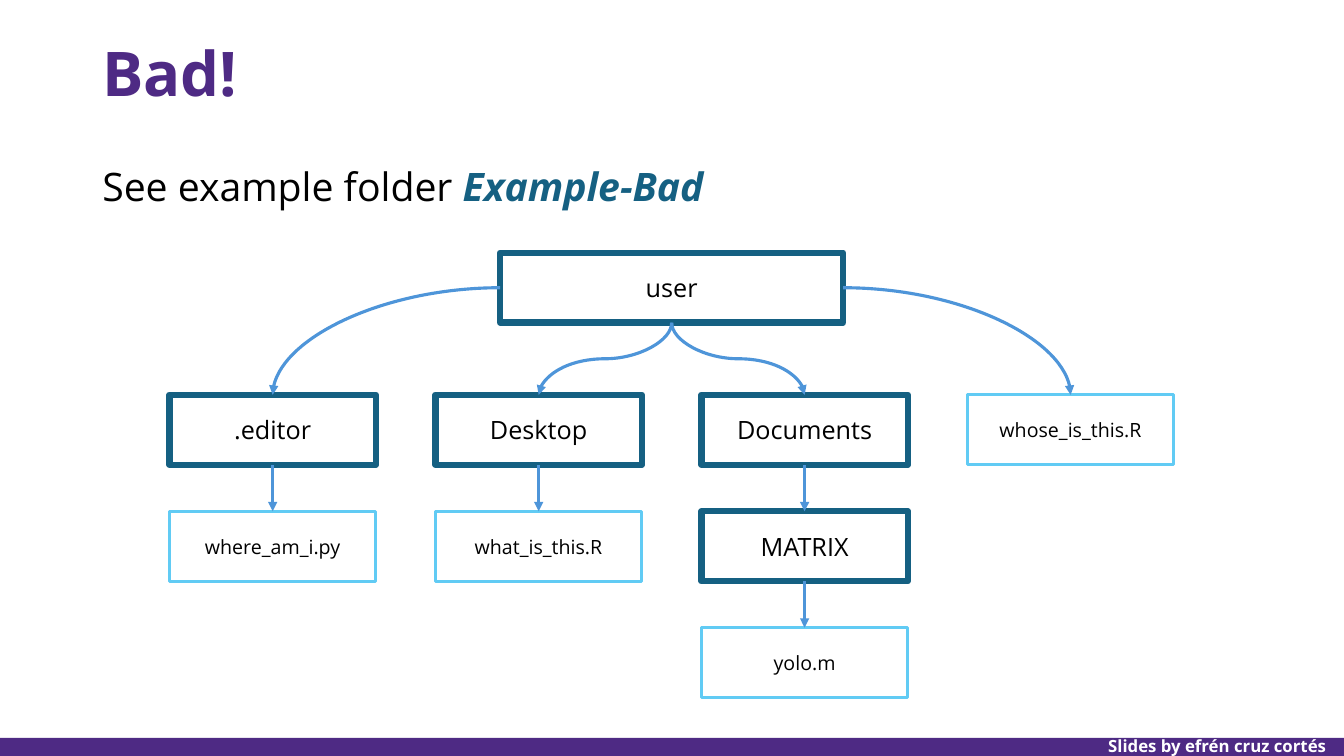
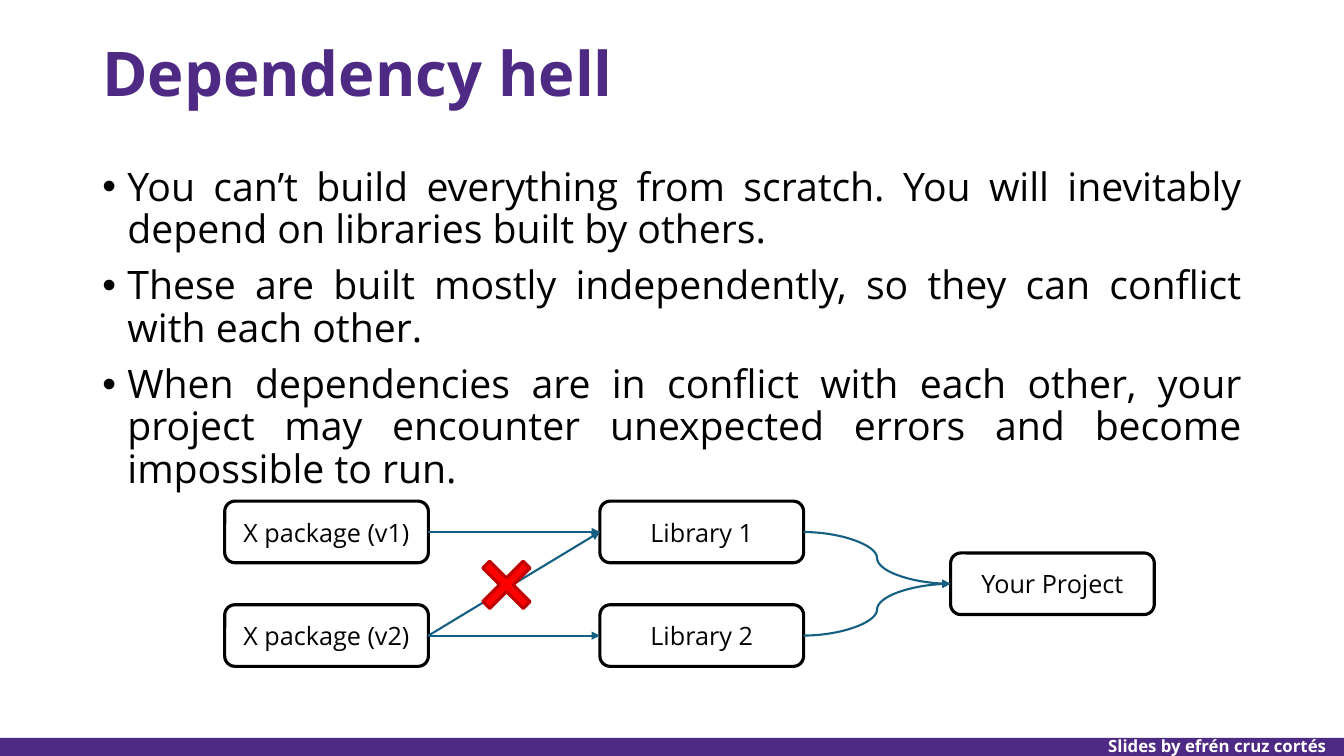
"""Build two slides on messy folders and conflicting dependencies."""
from lxml import etree
from pptx import Presentation, util as u
from pptx.dml import color
from pptx.enum import shapes, text
from pptx.oxml import ns

FONT = "Open Sans"
PURPLE, TEAL, BLUE, SKY = "4E2A84", "156082", "4E95D9", "61CBF4"
BLACK, WHITE, RED, DARK_RED = "000000", "FFFFFF", "FF0000", "C00000"
TOP, LEFT, BOTTOM, RIGHT = range(4)
ALIGN, ANCHOR = text.PP_ALIGN, text.MSO_ANCHOR
FOOTER = "Slides by efrén cruz cortés"

FOLDER_TITLE = "Bad!"
FOLDER_BODY = [[("See example folder ", {}),
                ("Example-Bad", {"color": TEAL, "bold": True, "italic": True})]]
FOLDER_STYLE = {"line": TEAL, "width": 4.5, "size": 18}
FILE_STYLE = {"line": SKY, "width": 2.25, "size": 14}
ROOT = "user"
COLUMNS = [
    [(".editor", FOLDER_STYLE), ("where_am_i.py", FILE_STYLE)],
    [("Desktop", FOLDER_STYLE), ("what_is_this.R", FILE_STYLE)],
    [("Documents", FOLDER_STYLE), ("MATRIX", FOLDER_STYLE), ("yolo.m", FILE_STYLE)],
    [("whose_is_this.R", FILE_STYLE)],
]
ROOT_EXITS = [LEFT, BOTTOM, BOTTOM, RIGHT]

DEPENDENCY_TITLE = "Dependency hell"
DEPENDENCY_BODY = [[(point, {})] for point in (
    "You can’t build everything from scratch. You will inevitably depend on "
    "libraries built by others.",
    "These are built mostly independently, so they can conflict with each other.",
    "When dependencies are in conflict with each other, your project may encounter "
    "unexpected errors and become impossible to run.",
)]
PACKAGE_STYLE = {"line": BLACK, "width": 2.25, "size": 18}
PACKAGES = {
    "X package (v1)": (160.5, 358),
    "X package (v2)": (160.5, 432),
    "Library 1": (428.5, 358),
    "Library 2": (428.5, 432),
    "Your Project": (679, 395),
}
DEPENDENCIES = [
    ("X package (v1)", "Library 1", False),
    ("X package (v2)", "Library 2", False),
    ("Library 1", "Your Project", True),
    ("Library 2", "Your Project", True),
    ("X package (v2)", "Library 1", False),
]


def rgb(value):
    """Turn a hex string into a colour."""
    return color.RGBColor.from_string(value)


def points(*lengths):
    """Turn numbers into lengths in points."""
    return [u.Pt(length) for length in lengths]


def write(shape, paragraphs, anchor, wrap=True, bullets=False, layout=None, **font):
    """Fill a shape with paragraphs of formatted runs."""
    frame = shape.text_frame
    frame.word_wrap, frame.vertical_anchor = wrap, anchor
    for index, runs in enumerate(paragraphs):
        paragraph = frame.add_paragraph() if index else frame.paragraphs[0]
        for name, value in (layout or {}).items():
            setattr(paragraph, name, value)
        if bullets:
            props = paragraph._p.get_or_add_pPr()
            props.set("marL", str(u.Pt(18)))
            props.set("indent", str(-u.Pt(18)))
            etree.SubElement(props, ns.qn("a:buFont"), typeface="Arial")
            etree.SubElement(props, ns.qn("a:buChar"), char="•")
        for words, changes in runs:
            run = paragraph.add_run()
            run.text = words
            look = {"name": FONT, "color": BLACK, **font, **changes}
            run.font.color.rgb = rgb(look.pop("color"))
            for name, value in look.items():
                setattr(run.font, name, value)


def add_figure(slide, kind, place, fill=None, line=None, width=0):
    """Add a preset shape with a plain fill and line."""
    figure = slide.shapes.add_shape(kind, *points(*place))
    figure.shadow.inherit = False
    for paint, value in ((figure.fill, fill), (figure.line.fill, line)):
        if value:
            paint.solid()
            paint.fore_color.rgb = rgb(value)
        else:
            paint.background()
    if line:
        figure.line.width = u.Pt(width)
    return figure


def add_box(slide, kind, place, label, line, width, size):
    """Add an outlined box with a centred label."""
    box = add_figure(slide, kind, place, line=line, width=width)
    write(box, [[(label, {})]], ANCHOR.MIDDLE, layout={"alignment": ALIGN.CENTER},
          size=u.Pt(size))
    return box


def site(box, side):
    """Give the middle of one side of a box."""
    across = {LEFT: 0, RIGHT: box.width}.get(side, box.width // 2)
    down = {TOP: 0, BOTTOM: box.height}.get(side, box.height // 2)
    return box.left + across, box.top + down


def bend(arrow, start, end, exit_side):
    """Shape a curve that enters its target from above."""
    (x1, y1), (x2, y2) = start, end
    wide, high = abs(x2 - x1), abs(y2 - y1)
    if exit_side == BOTTOM:
        preset, wide, high = "curvedConnector3", high, wide
        turn = {"rot": "5400000"} if x2 < x1 else {"rot": "16200000", "flipH": "1"}
    else:
        preset = "curvedConnector2"
        turn = {"rot": "10800000", "flipV": "1"} if x2 < x1 else {}
    frame = arrow._element.spPr.find(ns.qn("a:xfrm"))
    frame.attrib.clear()
    for name, value in turn.items():
        frame.set(name, value)
    arrow._element.spPr.find(ns.qn("a:prstGeom")).set("prst", preset)
    arrow.left, arrow.top = (x1 + x2 - wide) // 2, (y1 + y2 - high) // 2
    arrow.width, arrow.height = wide, high


def connect(slide, source, exit_side, target, entry_side, curved, line, width):
    """Join two boxes with an arrow."""
    kind = shapes.MSO_CONNECTOR.CURVE if curved else shapes.MSO_CONNECTOR.STRAIGHT
    start, end = site(source, exit_side), site(target, entry_side)
    arrow = slide.shapes.add_connector(kind, *start, *end)
    arrow.begin_connect(source, exit_side)
    arrow.end_connect(target, entry_side)
    if curved and entry_side == TOP:
        bend(arrow, start, end, exit_side)
    arrow.line.color.rgb = rgb(line)
    arrow.line.width = u.Pt(width)
    props = arrow._element.spPr
    etree.SubElement(props.find(ns.qn("a:ln")), ns.qn("a:tailEnd"), type="triangle")
    etree.SubElement(props, ns.qn("a:effectLst"))


def add_slide(deck, title, body, body_height, bullets=False):
    """Add a slide with its band, footer, title and body text."""
    slide = deck.slides.add_slide(deck.slide_layouts[6])
    add_figure(slide, shapes.MSO_SHAPE.RECTANGLE, (0, 527, 960, 13), fill=PURPLE)
    footer, heading, content = (
        slide.shapes.add_textbox(*points(*place)) for place in
        ((781, 522, 177, 21.6), (66, 19.5, 828, 70.5), (66, 116, 828, body_height)))
    write(footer, [[(FOOTER, {})]], ANCHOR.BOTTOM, wrap=False,
          layout={"alignment": ALIGN.CENTER}, size=u.Pt(12), color=WHITE, bold=True)
    write(heading, [[(title, {})]], ANCHOR.MIDDLE, layout={"line_spacing": 0.9},
          size=u.Pt(44), color=PURPLE, bold=True)
    write(content, body, ANCHOR.TOP, bullets=bullets, size=u.Pt(28),
          layout={"alignment": ALIGN.JUSTIFY, "line_spacing": 0.9,
                  "space_before": u.Pt(10)})
    return slide


def build_folders(deck):
    """Draw the tree of folders and files."""
    slide = add_slide(deck, FOLDER_TITLE, FOLDER_BODY, 40)
    left, top, wide, high, step_x, step_y = 121, 282, 147.5, 50, 190, 83.2
    middle = left + ((len(COLUMNS) - 1) * step_x + wide) / 2
    root_width = 245
    kind = shapes.MSO_SHAPE.RECTANGLE
    root = add_box(slide, kind, (middle - root_width / 2, 180.5, root_width, high),
                   ROOT, **FOLDER_STYLE)
    for column, (entries, exit_side) in enumerate(zip(COLUMNS, ROOT_EXITS)):
        parent = root
        for row, (label, style) in enumerate(entries):
            place = (left + column * step_x, top + row * step_y, wide, high)
            box = add_box(slide, kind, place, label, **style)
            connect(slide, parent, BOTTOM if row else exit_side, box, TOP,
                    row == 0, BLUE, 2.25)
            parent = box


def build_dependencies(deck):
    """Draw the packages and the conflict between them."""
    slide = add_slide(deck, DEPENDENCY_TITLE, DEPENDENCY_BODY, 210, bullets=True)
    boxes = {label: add_box(slide, shapes.MSO_SHAPE.ROUNDED_RECTANGLE,
                            (*corner, 145.5, 44), label, **PACKAGE_STYLE)
             for label, corner in PACKAGES.items()}
    for source, target, curved in DEPENDENCIES:
        connect(slide, boxes[source], RIGHT, boxes[target], LEFT, curved, TEAL, 1.5)
    cross = add_figure(slide, shapes.MSO_SHAPE.MATH_MULTIPLY, (334, 390, 55.5, 55.5),
                       fill=RED, line=DARK_RED, width=2.25)
    cross.adjustments[0] = 0.125


def main():
    """Build and save the deck."""
    deck = Presentation()
    deck.slide_width, deck.slide_height = points(960, 540)
    build_folders(deck)
    build_dependencies(deck)
    deck.save("out.pptx")


if __name__ == "__main__":
    main()
